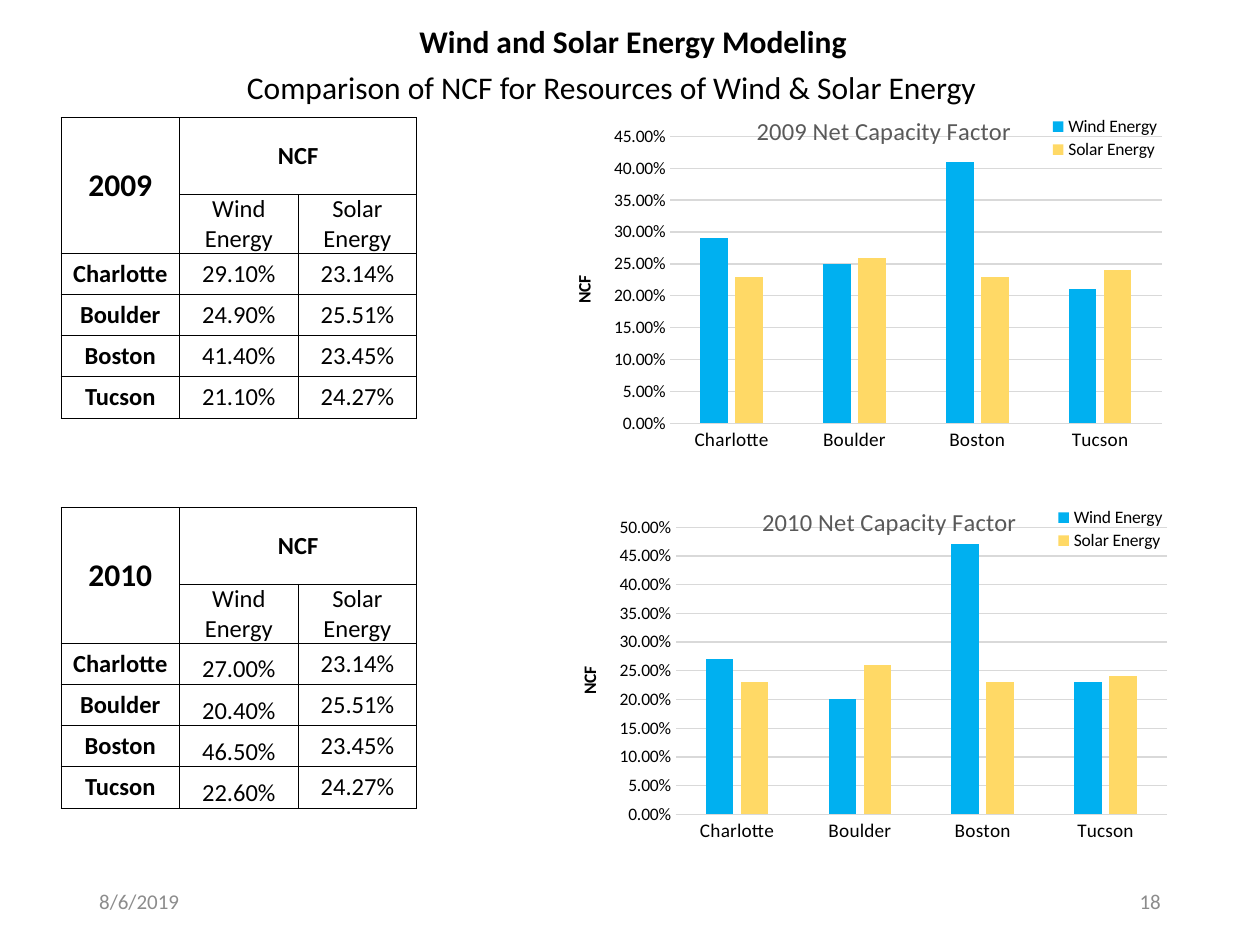
from lxml.etree import SubElement
from pptx import Presentation
from pptx.chart.data import CategoryChartData
from pptx.dml.color import RGBColor
from pptx.enum.chart import XL_CHART_TYPE, XL_LEGEND_POSITION, XL_TICK_MARK
from pptx.enum.text import MSO_ANCHOR, MSO_AUTO_SIZE, PP_ALIGN
from pptx.oxml import parse_xml
from pptx.oxml.ns import nsdecls, qn
from pptx.util import Cm, Pt

hex_color = RGBColor.from_string


def style(font, size, color="000000", bold=False):
    values = {"name": "Calibri", "size": Pt(size), "bold": bold}
    for attribute, value in values.items():
        setattr(font, attribute, value)
    font.color.rgb = hex_color(color)


def write(frame, text, size, color="000000", bold=False, align=PP_ALIGN.LEFT):
    frame.text = text
    frame.paragraphs[0].alignment = align
    style(frame.paragraphs[0].runs[0].font, size, color, bold)


deck = Presentation()
deck.slide_width, deck.slide_height = Cm(25.4), Cm(19.05)
slide = deck.slides.add_slide(deck.slide_layouts[5])

heading = slide.shapes.title
heading.left, heading.top, heading.width, heading.height = Cm(8.2), Cm(0.32), Cm(9.2), Cm(1.02)
heading.text_frame.auto_size = MSO_AUTO_SIZE.NONE
heading.text_frame.word_wrap = False
heading.text_frame.vertical_anchor = MSO_ANCHOR.TOP
write(heading.text_frame, "Wind and Solar Energy Modeling", 18, bold=True)

captions = [
    ("Comparison of NCF for Resources of Wind & Solar Energy", 4.73, 1.24, 15.93,
     18, "000000", PP_ALIGN.LEFT, MSO_ANCHOR.TOP),
    ("8/6/2019", 1.75, 17.65, 5.72, 12, "8C8C8C", PP_ALIGN.LEFT, MSO_ANCHOR.MIDDLE),
    ("18", 17.93, 17.65, 5.72, 12, "8C8C8C", PP_ALIGN.RIGHT, MSO_ANCHOR.MIDDLE),
]
for text, left, top, width, size, color, align, anchor in captions:
    caption = slide.shapes.add_textbox(Cm(left), Cm(top), Cm(width), Cm(1.02)).text_frame
    caption.word_wrap = True
    caption.vertical_anchor = anchor
    write(caption, text, size, color, align=align)

cities = ["Charlotte", "Boulder", "Boston", "Tucson"]
solar = [0.2314, 0.2551, 0.2345, 0.2427]
years = [
    {"year": "2009", "wind": [0.291, 0.249, 0.414, 0.211], "wind_anchor": MSO_ANCHOR.MIDDLE,
     "table_top": 2.37, "chart_left": 11.48, "chart_top": 1.91, "maximum": 0.45},
    {"year": "2010", "wind": [0.27, 0.204, 0.465, 0.226], "wind_anchor": MSO_ANCHOR.BOTTOM,
     "table_top": 10.23, "chart_left": 11.59, "chart_top": 9.79, "maximum": 0.5},
]

for entry in years:
    rows = [[entry["year"], "NCF", ""], ["", "Wind Energy", "Solar Energy"]]
    for city, wind_ncf, solar_ncf in zip(cities, entry["wind"], solar):
        rows.append([city, f"{wind_ncf:.2%}", f"{solar_ncf:.2%}"])

    factors = slide.shapes.add_table(
        len(rows), 3, Cm(1.23), Cm(entry["table_top"]), Cm(7.16), Cm(5.7)).table
    factors.first_row = factors.horz_banding = False
    for column in factors.columns:
        column.width = Cm(2.39)
    for r, row in enumerate(rows):
        factors.rows[r].height = Cm(1.55 if r == 0 else 0.83)
        for c, text in enumerate(row):
            cell = factors.cell(r, c)
            for side in ("left", "top", "right", "bottom"):
                setattr(cell, f"margin_{side}", 0)
            cell.vertical_anchor = entry["wind_anchor"] if r > 1 and c == 1 else MSO_ANCHOR.MIDDLE
            cell.fill.background()
            if text:
                write(cell.text_frame, text, 18 if r == c == 0 else 14,
                      bold=r == 0 or c == 0, align=PP_ALIGN.CENTER)
            properties = cell._tc.get_or_add_tcPr()
            for position, edge in enumerate(("lnL", "lnR", "lnT", "lnB")):
                properties.insert(position, parse_xml(
                    f'<a:{edge} {nsdecls("a")} w="6350"><a:solidFill>'
                    f'<a:srgbClr val="000000"/></a:solidFill></a:{edge}>'))
    factors.cell(0, 0).merge(factors.cell(1, 0))
    factors.cell(0, 1).merge(factors.cell(0, 2))

    ncf = CategoryChartData(number_format="0.00%")
    ncf.categories = cities
    for source, shares in (("Wind Energy", entry["wind"]), ("Solar Energy", solar)):
        ncf.add_series(source, [round(share, 2) for share in shares])
    chart = slide.shapes.add_chart(
        XL_CHART_TYPE.COLUMN_CLUSTERED, Cm(entry["chart_left"]), Cm(entry["chart_top"]),
        Cm(12.7), Cm(7.62), ncf).chart
    style(chart.font, 10)

    plot = chart.plots[0]
    plot.gap_width, plot.overlap, plot.vary_by_categories = 219, -27, False
    for series, color in zip(plot.series, ("00B0F0", "FFD966")):
        series.format.fill.solid()
        series.format.fill.fore_color.rgb = hex_color(color)

    city_axis, ncf_axis = chart.category_axis, chart.value_axis
    style(city_axis.tick_labels.font, 11)
    style(ncf_axis.tick_labels.font, 10)
    for axis in (city_axis, ncf_axis):
        axis.major_tick_mark = axis.minor_tick_mark = XL_TICK_MARK.NONE
    ncf_axis.minimum_scale, ncf_axis.maximum_scale = 0, entry["maximum"]
    ncf_axis.major_unit = 0.05
    ncf_axis.tick_labels.number_format = "0.00%"
    ncf_axis.tick_labels.number_format_is_linked = False
    ncf_axis.format.line.fill.background()
    for line in (city_axis.format.line, ncf_axis.major_gridlines.format.line):
        line.color.rgb = hex_color("D9D9D9")
        line.width = Pt(0.75)

    write(ncf_axis.axis_title.text_frame, "NCF", 10, bold=True, align=PP_ALIGN.CENTER)
    chart.has_title = True
    write(chart.chart_title.text_frame, f"{entry['year']} Net Capacity Factor", 14, "595959",
          align=PP_ALIGN.CENTER)
    chart.has_legend = True
    chart.legend.position = XL_LEGEND_POSITION.RIGHT
    chart.legend.include_in_layout = True
    style(chart.legend.font, 10)

    chart_parts = [
        (chart._chartSpace.chart.plotArea, {"x": 0.16, "y": 0.11, "w": 0.78, "h": 0.76}),
        (chart.chart_title._element, {"x": 0.29, "y": 0.04}),
        (chart.legend._element, {"x": 0.76, "y": 0.05, "w": 0.18, "h": 0.13}),
        (ncf_axis.axis_title._element, {"x": 0, "y": 0.47}),
    ]
    for part, place in chart_parts:
        for previous in part.findall(qn("c:layout")):
            part.remove(previous)
        layout = parse_xml(f'<c:layout {nsdecls("c")}/>')
        manual = SubElement(layout, qn("c:manualLayout"))
        if part.tag == qn("c:plotArea"):
            SubElement(manual, qn("c:layoutTarget")).set("val", "inner")
            part.insert(0, layout)
        else:
            overlay = part.find(qn("c:overlay"))
            overlay.set("val", "1")
            overlay.addprevious(layout)
        for side in ("x", "y"):
            SubElement(manual, qn(f"c:{side}Mode")).set("val", "edge")
        for measure, share in place.items():
            SubElement(manual, qn(f"c:{measure}")).set("val", str(share))

deck.save("out.pptx")
